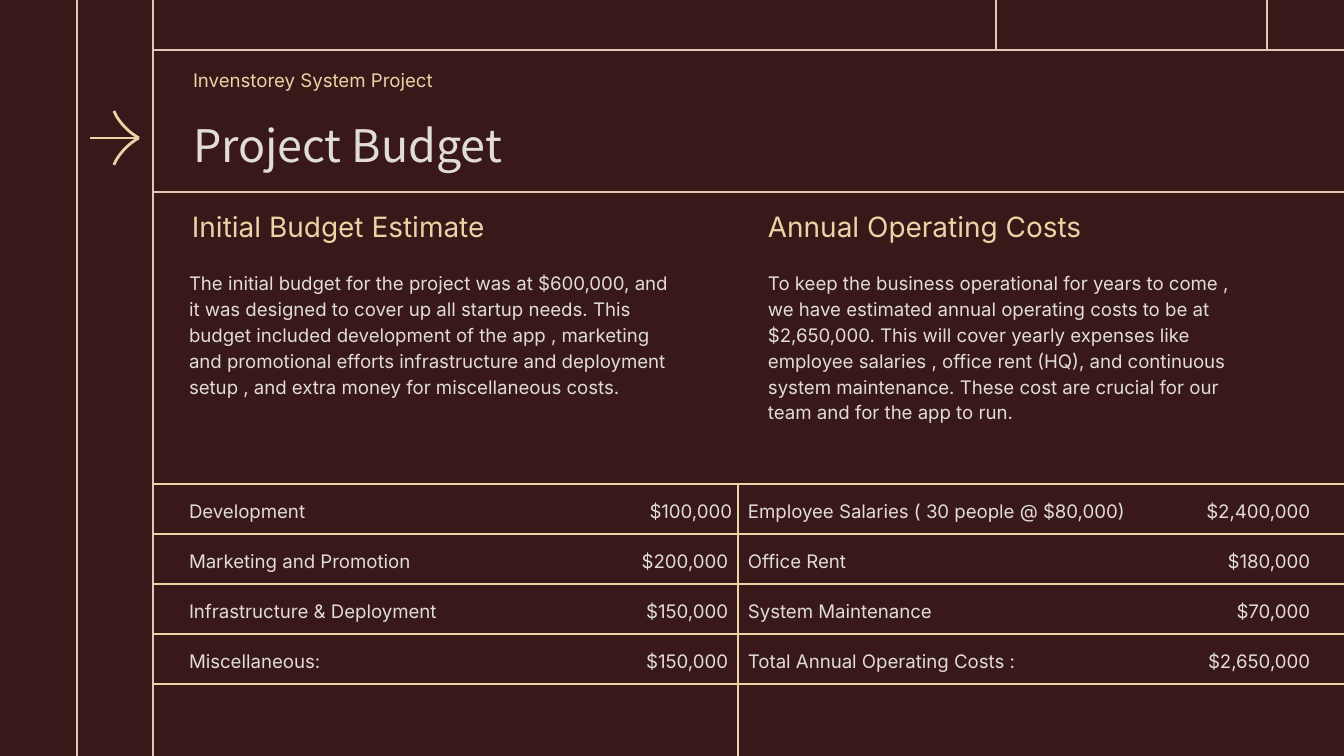
from pptx import Presentation
from pptx.dml.color import RGBColor
from pptx.enum.shapes import MSO_CONNECTOR
from pptx.enum.text import MSO_ANCHOR, PP_ALIGN
from pptx.oxml.ns import qn
from pptx.util import Pt
from lxml import etree

PX = 914400 / 134.4
WIDTH, HEIGHT = 1344, 756
MAROON = RGBColor(0x38, 0x18, 0x19)
ROSE = RGBColor(0xE6, 0xC5, 0xB8)
GOLD = RGBColor(0xE7, 0xD5, 0xA6)
CREAM = RGBColor(0xE1, 0xDC, 0xD8)
STRAIGHT = MSO_CONNECTOR.STRAIGHT
TOP, MIDDLE = MSO_ANCHOR.TOP, MSO_ANCHOR.MIDDLE
LEFT, RIGHT = PP_ALIGN.LEFT, PP_ALIGN.RIGHT

deck = Presentation()
deck.slide_width, deck.slide_height = round(WIDTH * PX), round(HEIGHT * PX)
page = deck.slides.add_slide(deck.slide_layouts[6])
page.background.fill.solid()
page.background.fill.fore_color.rgb = MAROON


def add_rule(x1, y1, x2, y2, color, weight=0.75):
    rule = page.shapes.add_connector(STRAIGHT, *(round(v * PX) for v in (x1, y1, x2, y2)))
    rule.line.color.rgb = color
    rule.line.width = Pt(weight)
    etree.SubElement(rule._element.spPr, qn("a:effectLst"))


def add_text(text, area, size, color, font="Inter", anchor=MIDDLE,
             align=LEFT, insets=(0, 0, 0, 0), spacing=1.15):
    box = page.shapes.add_textbox(*(round(v * PX) for v in area))
    frame = box.text_frame
    frame.word_wrap = True
    frame.vertical_anchor = anchor
    (frame.margin_left, frame.margin_top,
     frame.margin_right, frame.margin_bottom) = (round(v * PX) for v in insets)
    frame.text = text
    para = frame.paragraphs[0]
    para.alignment = align
    para.line_spacing = spacing
    span = para.runs[0]
    span.font.size = Pt(size)
    span.font.name = font
    span.font.color.rgb = color


# Frame lines
for rule in [(996, 0, 996, 50), (1267, 0, 1267, 50), (153, 50, WIDTH, 50),
             (77, 0, 77, HEIGHT), (153, 192, WIDTH, 192), (153, 0, 153, HEIGHT)]:
    add_rule(*rule, ROSE)

# Arrow: a shaft and two curved barbs mirrored about it
tip_x, tip_y = 139, 138
add_rule(90, tip_y, tip_x, tip_y, GOLD, 1.5)
curve = [(-25, 27), (-21, 17), (-11, 6), (0, 0)]
steps = 12
for side in (-1, 1):
    points = []
    for step in range(steps + 1):
        t = step / steps
        weights = ((1 - t) ** 3, 3 * t * (1 - t) ** 2, 3 * t ** 2 * (1 - t), t ** 3)
        dx = sum(w * x for w, (x, y) in zip(weights, curve))
        dy = sum(w * y for w, (x, y) in zip(weights, curve))
        points.append((round((tip_x + dx) * PX), round((tip_y + side * dy) * PX)))
    builder = page.shapes.build_freeform(*points[0])
    builder.add_line_segments(points[1:], close=False)
    barb = builder.convert_to_shape()
    barb.shadow.inherit = False
    barb.fill.background()
    barb.line.color.rgb = GOLD
    barb.line.width = Pt(1.5)

# Header
add_text("Invenstorey System Project", (153, 50, 1114, 48), 10, GOLD,
         insets=(40, 13, 13, 0), spacing=1.0)
add_text("Project Budget", (153, 98, 1114, 94), 24, CREAM, font="Noto Sans CJK KR",
         insets=(40, 13, 13, 13), spacing=1.0)

# Two columns of heading and description
columns = [
    (192, 189, "Initial Budget Estimate",
     "The initial budget for the project was at $600,000, and it was designed to cover up "
     "all startup needs. This budget included development of the app , marketing and "
     "promotional efforts infrastructure and deployment setup , and extra money for "
     "miscellaneous costs."),
    (768, 768, "Annual Operating Costs",
     "To keep the business operational for years to come , we have estimated annual "
     "operating costs to be at $2,650,000. This will cover yearly expenses like employee "
     "salaries , office rent (HQ), and continuous system maintenance. These cost are "
     "crucial for our team and for the app to run."),
]
for heading_x, body_x, heading, body in columns:
    add_text(heading, (heading_x, 192, 383, 60), 15, GOLD, anchor=TOP, insets=(0, 13, 67, 13))
    add_text(body, (body_x, 269, 484, 153), 10, CREAM, anchor=TOP)

# Budget grid
grid_top, row_height, divider_x = 484, 50, 738
for row in range(5):
    y = grid_top + row * row_height
    add_rule(153, y, divider_x, y, GOLD)
    add_rule(divider_x, y, WIDTH, y, GOLD)
add_rule(divider_x, grid_top, divider_x, HEIGHT, GOLD)

# Budget entries: label, amount, right edge of the amount
startup = [("Development", "$100,000", 732),
           ("Marketing and Promotion", "$200,000", 728),
           ("Infrastructure & Deployment", "$150,000", 728),
           ("Miscellaneous:", "$150,000", 728)]
yearly = [("Employee Salaries ( 30 people @ $80,000)", "$2,400,000", 1310),
          ("Office Rent", "$180,000", 1310),
          ("System Maintenance", "$70,000", 1310),
          ("Total Annual Operating Costs :", "$2,650,000", 1310)]
for label_x, label_width, entries in [(189, 282, startup), (748, 394, yearly)]:
    for row, (label, amount, amount_right) in enumerate(entries):
        y = grid_top + row * row_height + 8
        add_text(label, (label_x, y, label_width, 35), 10, CREAM)
        add_text(amount, (amount_right - 226, y, 226, 35), 10, CREAM, align=RIGHT)

deck.save("out.pptx")
